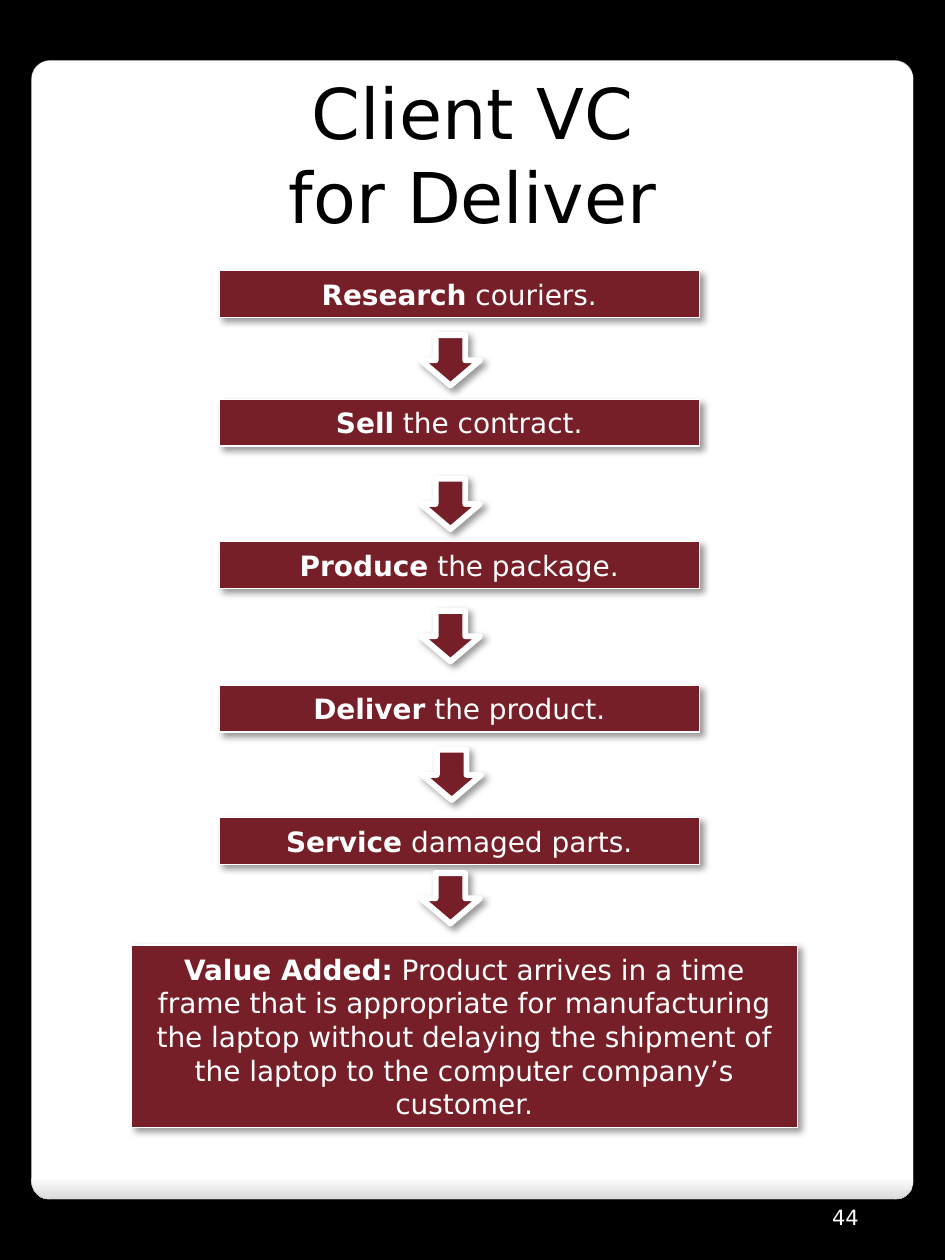
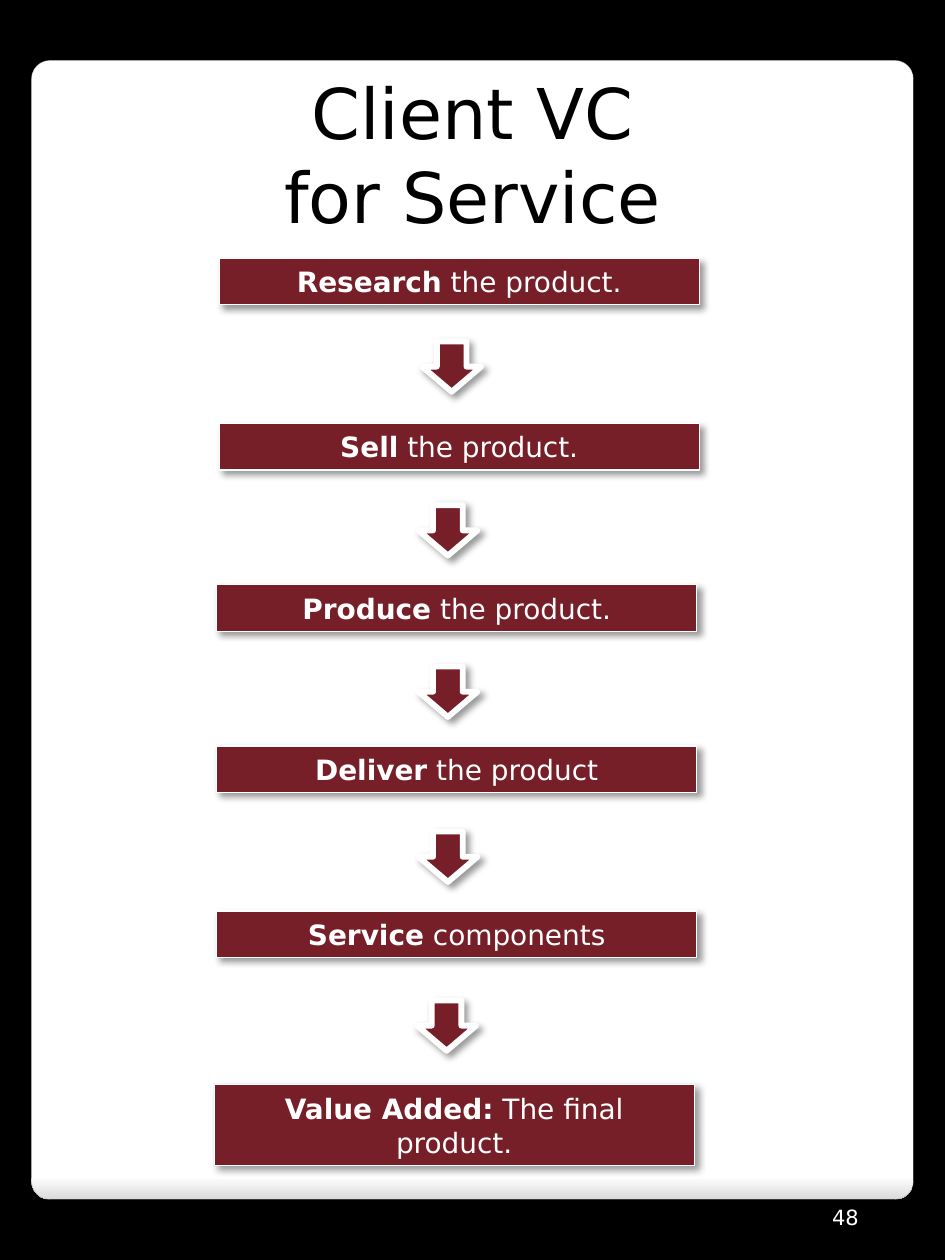
from lxml import etree
from pptx import Presentation
from pptx.dml.color import RGBColor
from pptx.enum.shapes import MSO_SHAPE
from pptx.enum.text import MSO_ANCHOR, PP_ALIGN
from pptx.oxml.ns import qn
from pptx.util import Inches, Pt

RECT, ROUNDED = MSO_SHAPE.RECTANGLE, MSO_SHAPE.ROUNDED_RECTANGLE
DOWN_ARROW = MSO_SHAPE.DOWN_ARROW
BOTTOM, CENTER = MSO_ANCHOR.BOTTOM, PP_ALIGN.CENTER

FONT = "DejaVu Sans"
BLACK, WHITE, MAROON = "000000", "FFFFFF", "771F28"
PANEL_SHADE, PANEL_EDGE = "DADADA", "A4A4A4"
BOX_W, LINE_H, BOX_PAD = 3.81, 0.27, 0.1
ARROW_W, ARROW_H = 0.47, 0.4

# Steps: bold word, rest of the text, left, top
# Arrows: left, top
# Value: text, left, top, width, number of lines
SLIDES = [
    {
        "title": ["Client VC", "for Deliver"],
        "number": "44",
        "steps": [
            ("Research", "couriers.", 1.74, 2.15),
            ("Sell", "the contract.", 1.74, 3.17),
            ("Produce", "the package.", 1.74, 4.3),
            ("Deliver", "the product.", 1.74, 5.44),
            ("Service", "damaged parts.", 1.74, 6.49),
        ],
        "arrows": [(3.34, 2.66), (3.34, 3.8), (3.34, 4.85), (3.35, 5.95), (3.34, 6.93)],
        "value": (
            "Product arrives in a time frame that is appropriate for manufacturing "
            "the laptop without delaying the shipment of the laptop to the computer "
            "company’s customer.", 1.04, 7.5, 5.29, 5),
    },
    {
        "title": ["Client VC", "for Service"],
        "number": "48",
        "steps": [
            ("Research", "the product.", 1.74, 2.05),
            ("Sell", "the product.", 1.74, 3.36),
            ("Produce", "the product.", 1.72, 4.64),
            ("Deliver", "the product", 1.72, 5.92),
            ("Service", "components", 1.72, 7.23),
        ],
        "arrows": [(3.35, 2.71), (3.32, 4.01), (3.32, 5.29), (3.32, 6.6), (3.31, 7.94)],
        "value": ("The final product.", 1.7, 8.61, BOX_W, 2),
    },
]


def rgb(color):
    return RGBColor.from_string(color)


def add_shape(s, kind, left, top, width, height, line, line_width):
    sp = s.shapes.add_shape(kind, Inches(left), Inches(top), Inches(width), Inches(height))
    sp.shadow.inherit = False
    sp.line.color.rgb = rgb(line)
    sp.line.width = Pt(line_width)
    return sp


def add_maroon(s, kind, left, top, width, height, line_width):
    """Maroon shape with a white outline and a soft shadow to the lower right."""
    sp = add_shape(s, kind, left, top, width, height, WHITE, line_width)
    sp.fill.solid()
    sp.fill.fore_color.rgb = rgb(MAROON)
    effects = sp._element.spPr.find(qn("a:effectLst"))
    shadow = etree.SubElement(effects, qn("a:outerShdw"), blurRad=str(Pt(4)),
                              dist=str(Pt(3)), dir="2700000", algn="tl", rotWithShape="0")
    color = etree.SubElement(shadow, qn("a:srgbClr"), val=BLACK)
    etree.SubElement(color, qn("a:alpha"), val="40000")
    return sp


def style(p, size, color):
    p.alignment = CENTER
    p.font.name = FONT
    p.font.size = Pt(size)
    p.font.color.rgb = rgb(color)


def add_box(s, lead, text, left, top, width=BOX_W, lines=1):
    sp = add_maroon(s, RECT, left, top, width, lines * LINE_H + BOX_PAD, 0.75)
    sp.text_frame.word_wrap = True
    p = sp.text_frame.paragraphs[0]
    style(p, 16, WHITE)
    r = p.add_run()
    r.text = lead
    r.font.bold = True
    p.add_run().text = " " + text


def add_text(s, lines, left, top, width, height, size, color):
    tf = s.shapes.add_textbox(Inches(left), Inches(top), Inches(width), Inches(height)).text_frame
    tf.word_wrap = True
    tf.text = "\n".join(lines)
    for p in tf.paragraphs:
        style(p, size, color)
    return tf


def add_frame(s, title, number):
    """Black background, white panel, title and slide number."""
    s.background.fill.solid()
    s.background.fill.fore_color.rgb = rgb(BLACK)
    panel = add_shape(s, ROUNDED, 0.25, 0.48, 7, 9.04, PANEL_EDGE, 0.16)
    panel.adjustments[0] = 0.021
    panel.fill.gradient()
    panel.fill.gradient_angle = 270
    stops = panel.fill.gradient_stops
    for stop, position, color in zip(stops, (0.98, 1), (WHITE, PANEL_SHADE)):
        stop.position = position
        stop.color.rgb = rgb(color)
    add_text(s, title, 0.25, 0.5, 7, 1.45, 40, BLACK)
    add_text(s, [number], 6.24, 9.47, 0.94, 0.34, 12, WHITE).vertical_anchor = BOTTOM


def main():
    prs = Presentation()
    prs.slide_width, prs.slide_height = Inches(7.5), Inches(10)
    for content in SLIDES:
        s = prs.slides.add_slide(prs.slide_layouts[6])
        add_frame(s, content["title"], content["number"])
        for step in content["steps"]:
            add_box(s, *step)
        add_box(s, "Value Added:", *content["value"])
        for left, top in content["arrows"]:
            add_maroon(s, DOWN_ARROW, left, top, ARROW_W, ARROW_H, 3.35)
    prs.save("out.pptx")


if __name__ == "__main__":
    main()
